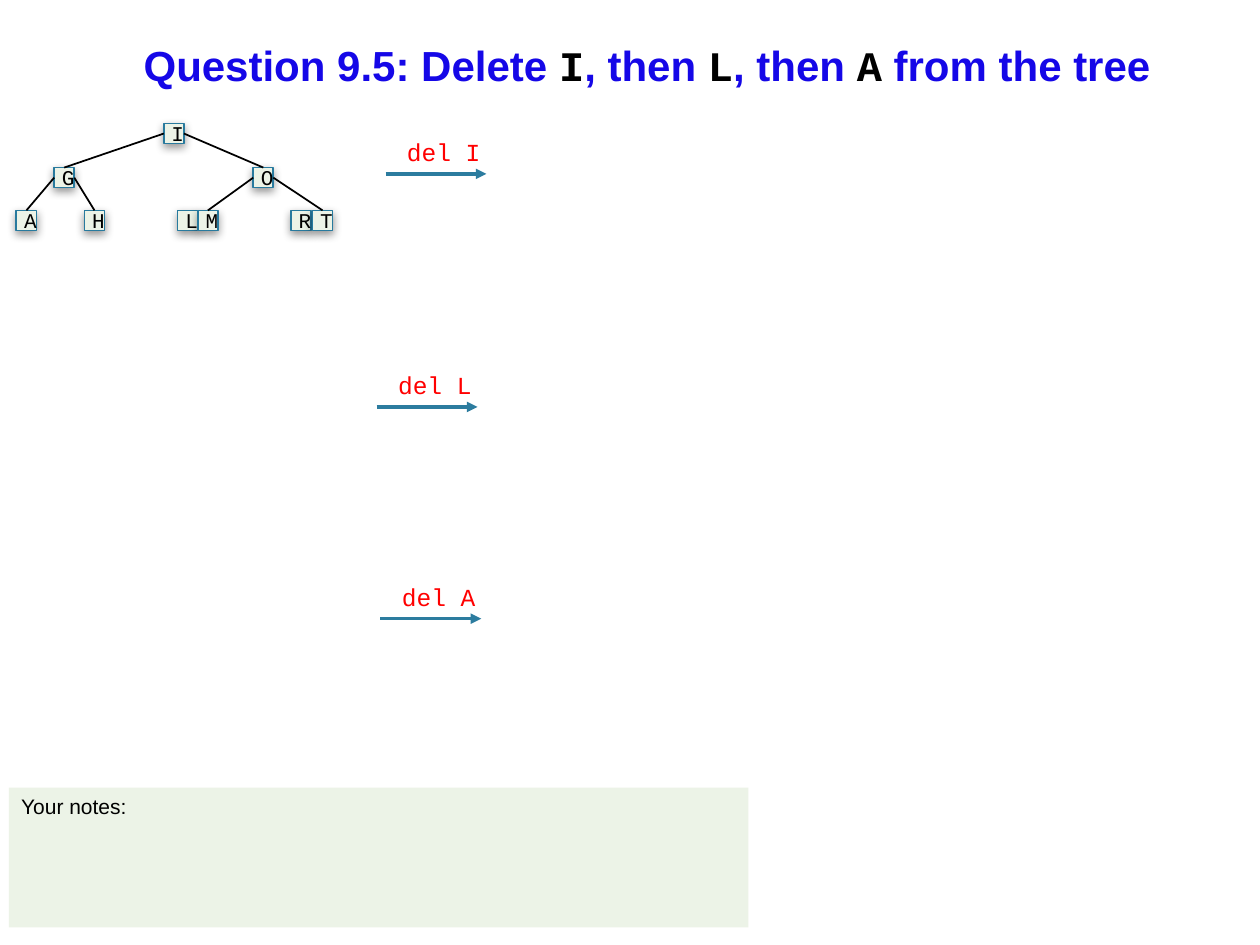
from pptx import Presentation
from pptx.dml.color import RGBColor
from pptx.enum.shapes import MSO_CONNECTOR, MSO_SHAPE
from pptx.enum.text import MSO_ANCHOR, MSO_AUTO_SIZE, PP_ALIGN
from pptx.oxml import parse_xml
from pptx.oxml.ns import nsdecls
from pptx.util import Inches, Pt

RECT = MSO_SHAPE.RECTANGLE
LINE = MSO_CONNECTOR.STRAIGHT
MIDDLE, TOP = MSO_ANCHOR.MIDDLE, MSO_ANCHOR.TOP
LEFT, CENTER = PP_ALIGN.LEFT, PP_ALIGN.CENTER
SANS, MONO = "Arial", "Courier New"
COLORS = {
    "title": "1507E7", "black": "000000", "red": "FF0000",
    "pale": "ECF3E7", "edge": "287A9E", "arrow": "2C7C9F",
}

# Tree: key -> left and top of its box
SIDE = 0.16
NODES = {
    "I": (1.3, 0.98),
    "G": (0.43, 1.33), "O": (2.01, 1.33),
    "A": (0.13, 1.67), "H": (0.67, 1.67), "L": (1.41, 1.67),
    "M": (1.57, 1.67), "R": (2.31, 1.67), "T": (2.48, 1.67),
}
# Parent -> left and right child that its edges lead to
EDGES = {"I": "GO", "G": "AH", "O": "MT"}
# Deleted key -> left and top of its label
STEPS = {"I": (3.02, 1.04), "L": (2.95, 2.89), "A": (2.98, 4.57)}


def color(name):
    return RGBColor.from_string(COLORS[name])


def style(font, size, face, tint, bold=False):
    font.size, font.name, font.bold = Pt(size), face, bold
    font.color.rgb = color(tint)


def add_title(shapes):
    box = shapes.add_textbox(Inches(0.42), Inches(0.13), Inches(9.43), Inches(0.77))
    frame = box.text_frame
    frame.word_wrap = True
    frame.vertical_anchor = MIDDLE
    para = frame.paragraphs[0]
    para.alignment = CENTER
    parts = ["Question 9.5: Delete ", "I", ", then ", "L", ", then ", "A", " from the tree"]
    for i, part in enumerate(parts):
        run = para.add_run()
        run.text = part
        face, tint = (MONO, "black") if i % 2 else (SANS, "title")
        style(run.font, 24, face, tint, True)


def add_box(shapes, x, y, w, h, text, face):
    box = shapes.add_shape(RECT, Inches(x), Inches(y), Inches(w), Inches(h))
    box.shadow.inherit = False
    box.fill.solid()
    box.fill.fore_color.rgb = color("pale")
    box.line.fill.background()
    para = box.text_frame.paragraphs[0]
    para.text = text
    style(para.font, 12, face, "black")
    return box


def add_node(shapes, key, x, y):
    box = add_box(shapes, x, y, SIDE, SIDE, key, MONO)
    box.text_frame.paragraphs[0].alignment = CENTER
    box.line.color.rgb = color("edge")
    box.line.width = Pt(1)
    # Soft shadow below the box
    effects = box._element.spPr.find("{*}effectLst")
    effects.append(parse_xml(
        f'<a:outerShdw {nsdecls("a")} blurRad="{Pt(5)}" dist="{Pt(2)}" dir="5400000"'
        ' rotWithShape="0"><a:srgbClr val="000000"><a:alpha val="40000"/>'
        '</a:srgbClr></a:outerShdw>'))
    return box


def add_line(shapes, x1, y1, x2, y2, tint, width):
    line = shapes.add_connector(LINE, Inches(x1), Inches(y1), Inches(x2), Inches(y2))
    line.line.color.rgb = color(tint)
    line.line.width = Pt(width)
    line._element.spPr.append(parse_xml(f'<a:effectLst {nsdecls("a")}/>'))
    return line


def add_tree(shapes):
    boxes = {key: add_node(shapes, key, *spot) for key, spot in NODES.items()}
    for key, kids in EDGES.items():
        for side, kid in zip((1, 3), kids):
            line = add_line(shapes, 0, 0, 0, 0, "black", 1)
            line.begin_connect(boxes[key], side)
            line.end_connect(boxes[kid], 0)


def add_step(shapes, key, x, y):
    group = shapes.add_group_shape().shapes
    # Arrow under the label
    arrow = add_line(group, x + 0.04, y + 0.34, x + 0.84, y + 0.34, "arrow", 2)
    arrow.line._get_or_add_ln().append(
        parse_xml(f'<a:tailEnd {nsdecls("a")} type="triangle"/>'))
    label = group.add_textbox(Inches(x), Inches(y), Inches(0.9), Inches(0.34))
    frame = label.text_frame
    frame.word_wrap = False
    frame.auto_size = MSO_AUTO_SIZE.SHAPE_TO_FIT_TEXT
    frame.margin_left = Inches(0.21)
    para = frame.paragraphs[0]
    para.text = f"del {key}"
    style(para.font, 14, MONO, "red")


def add_notes(shapes):
    box = add_box(shapes, 0.07, 6.25, 5.87, 1.11, "Your notes:", SANS)
    box.text_frame.vertical_anchor = TOP
    box.text_frame.paragraphs[0].alignment = LEFT


def main():
    deck = Presentation()
    deck.slide_width, deck.slide_height = Inches(10), Inches(7.5)
    shapes = deck.slides.add_slide(deck.slide_layouts[6]).shapes
    add_title(shapes)
    for key, spot in STEPS.items():
        add_step(shapes, key, *spot)
    add_tree(shapes)
    add_notes(shapes)
    deck.save("out.pptx")


if __name__ == "__main__":
    main()
